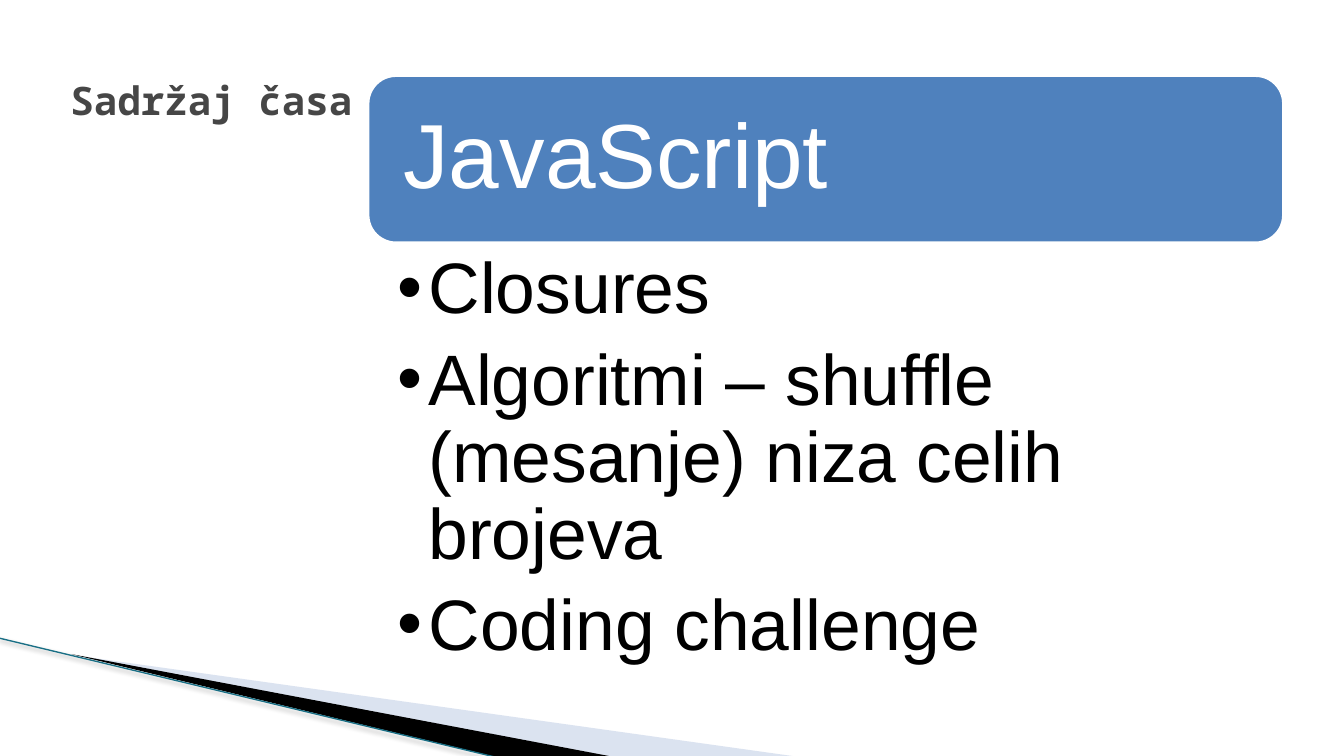
from lxml import etree
from pptx import Presentation
from pptx import util as u
from pptx.dml.color import RGBColor
from pptx.enum import shapes, text
from pptx.oxml.ns import qn

PX = 9144
WHITE = RGBColor(0xFF, 0xFF, 0xFF)
BLACK = RGBColor(0x00, 0x00, 0x00)
GREY = RGBColor(0x46, 0x46, 0x46)
BLUE = RGBColor(0x4F, 0x81, 0xBD)
PALE_BLUE = RGBColor(0xA7, 0xB9, 0xDB)
TEAL = RGBColor(0x19, 0x6F, 0x85)

TITLE = {"name": "Noto Sans Mono", "size": u.Pt(28), "bold": True}
HEADING = {"name": "Arial", "size": u.Pt(65)}
TOPIC = {"name": "Arial", "size": u.Pt(51)}
TOPICS = [
    "Closures",
    "Algoritmi – shuffle (mesanje) niza celih brojeva",
    "Coding challenge",
]


def px(*values):
    return [u.Emu(v * PX) for v in values]


def child(parent, tag, **attrs):
    return etree.SubElement(parent, qn(tag), {k: str(v) for k, v in attrs.items()})


def set_frame(tf, anchor, insets):
    sides = ("margin_left", "margin_top", "margin_right", "margin_bottom")
    values = dict(zip(sides, px(*insets)), word_wrap=True, vertical_anchor=anchor)
    for name, value in values.items():
        setattr(tf, name, value)


def write(p, words, style, color, **spacing):
    r = p.add_run()
    r.text = words
    for name, value in style.items():
        setattr(r.font, name, value)
    r.font.color.rgb = color
    for name, value in dict(spacing, alignment=text.PP_ALIGN.LEFT).items():
        setattr(p, name, value)


def add_text(s, box, anchor, insets):
    tf = s.shapes.add_textbox(*px(*box)).text_frame
    set_frame(tf, anchor, insets)
    return tf


def add_wedge(s, points, color, alpha=None):
    fb = s.shapes.build_freeform(*points[0], scale=PX)
    fb.add_line_segments(points[1:], close=True)
    sp = fb.convert_to_shape()
    sp.shadow.inherit = False
    sp.fill.solid()
    sp.fill.fore_color.rgb = color
    sp.line.fill.background()
    if alpha:
        clr = sp.fill._xPr.find(".//" + qn("a:srgbClr"))
        child(clr, "a:alpha", val=alpha * 1000)


def add_edge(s, start, end):
    line = s.shapes.add_connector(shapes.MSO_CONNECTOR.STRAIGHT, *px(*start, *end))
    line.line.color.rgb = TEAL
    line.line.width = u.Pt(0.96)
    effects = child(line._element.spPr, "a:effectLst")
    shadow = child(effects, "a:outerShdw", blurRad=u.Pt(3.1), dist=u.Pt(1.6),
                   dir=90 * 60000, algn="t", rotWithShape=0)
    child(child(shadow, "a:srgbClr", val=BLACK), "a:alpha", val=38000)


def add_heading(s, box, words):
    sp = s.shapes.add_shape(shapes.MSO_SHAPE.ROUNDED_RECTANGLE, *px(*box))
    sp.shadow.inherit = False
    sp.fill.solid()
    sp.fill.fore_color.rgb = BLUE
    sp.line.color.rgb = WHITE
    sp.line.width = u.Pt(2)
    set_frame(sp.text_frame, text.MSO_ANCHOR.MIDDLE, [27] * 4)
    write(sp.text_frame.paragraphs[0], words, HEADING, WHITE, line_spacing=0.9)


def add_topics(s, box, topics):
    tf = add_text(s, box, text.MSO_ANCHOR.TOP, (29, 9, 51, 9))
    for i, topic in enumerate(topics):
        p = tf.add_paragraph() if i else tf.paragraphs[0]
        pPr = p._p.get_or_add_pPr()
        pPr.set("marL", str(31 * PX))
        pPr.set("indent", str(-31 * PX))
        child(pPr, "a:buFont", typeface="Arial")
        child(pPr, "a:buChar", char="•")
        write(p, topic, TOPIC, BLACK, line_spacing=0.9, space_after=u.Pt(10.2))


def main():
    prs = Presentation()
    prs.slide_width, prs.slide_height = px(1333, 750)
    s = prs.slides.add_slide(prs.slide_layouts[6])

    add_wedge(s, [(73, 650), (793, 751), (608, 751)], PALE_BLUE, alpha=40)
    add_wedge(s, [(71, 649), (609, 751), (496, 752)], BLACK)
    add_edge(s, (-1, 633), (495, 752))

    tf = add_text(s, (60, 27, 1141, 145), text.MSO_ANCHOR.MIDDLE, (10, 5, 10, 5))
    write(tf.paragraphs[0], "Sadržaj časa", TITLE, GREY)
    add_heading(s, (365, 75, 908, 166), "JavaScript")
    add_topics(s, (365, 241, 908, 419), TOPICS)

    prs.save("out.pptx")


if __name__ == "__main__":
    main()
